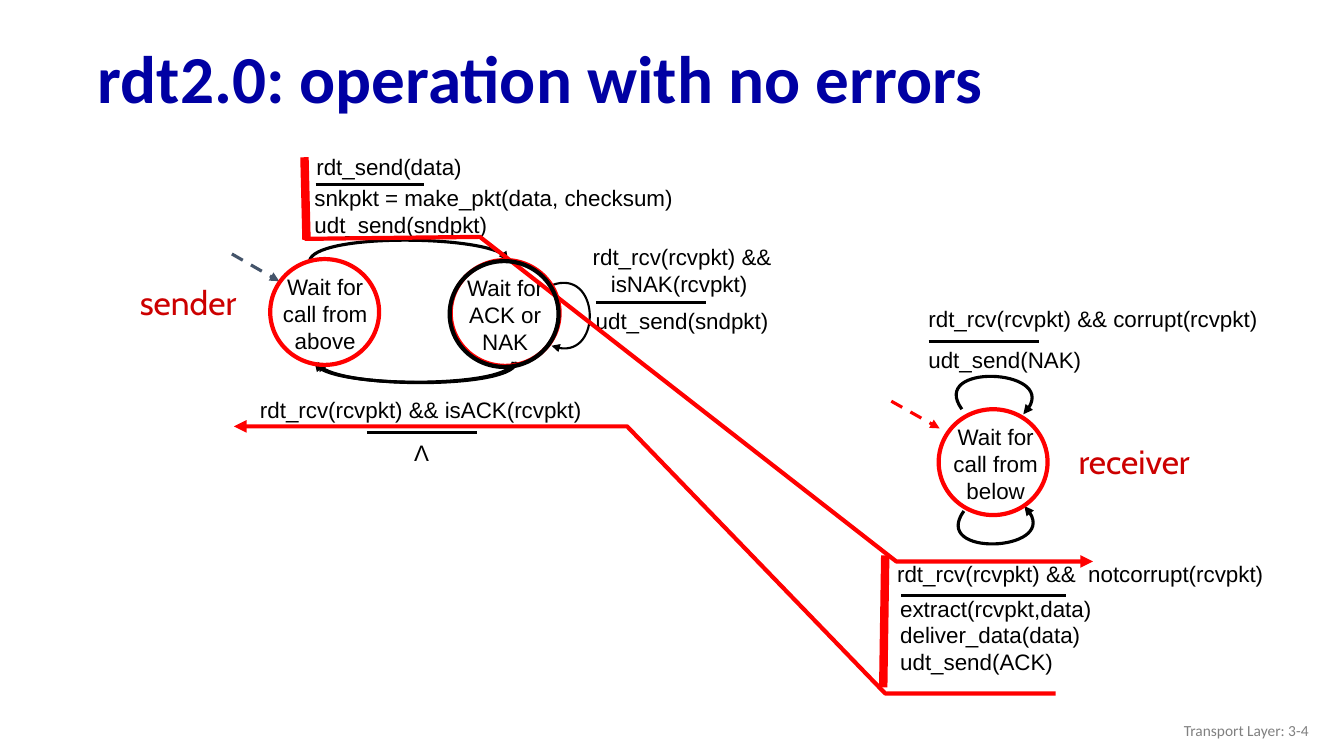
from dataclasses import dataclass

from lxml import etree
from pptx import Presentation
from pptx.dml.color import RGBColor
from pptx.enum.dml import MSO_LINE
from pptx.enum.shapes import MSO_CONNECTOR, MSO_SHAPE
from pptx.enum.text import MSO_ANCHOR, MSO_AUTO_SIZE, PP_ALIGN
from pptx.oxml.ns import qn
from pptx.util import Pt

PX = 9144  # EMU per px, 100 px to the inch
PAGE_WIDTH, PAGE_HEIGHT = 1333, 750
CIRCLE_WIDTH, CIRCLE_HEIGHT = 108, 105

BLACK = RGBColor(0, 0, 0)
WHITE = RGBColor(255, 255, 255)
RED = RGBColor(255, 0, 0)
SLATE = RGBColor(0x44, 0x54, 0x6A)
NAVY = RGBColor(0, 0, 0xA3)
CRIMSON = RGBColor(0xCC, 0, 0)
GRAY = RGBColor(0x80, 0x80, 0x80)

LEFT, CENTER, RIGHT = PP_ALIGN.LEFT, PP_ALIGN.CENTER, PP_ALIGN.RIGHT
TOP, MIDDLE = MSO_ANCHOR.TOP, MSO_ANCHOR.MIDDLE
STRAIGHT = MSO_CONNECTOR.STRAIGHT
ELLIPSE = MSO_SHAPE.OVAL
DASH = MSO_LINE.DASH
NO_AUTOFIT = MSO_AUTO_SIZE.NONE

Point = tuple[int, int]


@dataclass(frozen=True)
class Label:
    x: int
    y: int
    width: int
    height: int
    lines: tuple[str, ...]
    align: PP_ALIGN = LEFT
    size: int = 16
    font: str = "Arial"
    color: RGBColor = BLACK
    wrap: bool = True
    anchor: MSO_ANCHOR = TOP
    last_indent: int = 0


@dataclass(frozen=True)
class State:
    x: int
    y: int
    label: Label


@dataclass(frozen=True)
class Ring:
    x: int
    y: int
    color: RGBColor


@dataclass(frozen=True)
class Line:
    start: Point
    end: Point
    color: RGBColor = BLACK
    weight: float = 2.25
    dashed_arrow: bool = False


@dataclass(frozen=True)
class Route:
    points: tuple[Point, ...]
    curved: bool = True
    color: RGBColor = BLACK
    weight: float = 2.25


STATES = (
    State(268, 257, Label(257, 266, 131, 67, ("Wait for call from above",), CENTER)),
    State(447, 258, Label(442, 267, 118, 67, ("Wait for ACK or NAK",), CENTER)),
    State(931, 406, Label(922, 415, 131, 67, ("Wait for call from below",), CENTER)),
)

TRANSITIONS = (
    Route(((307, 259), (311, 232), (504, 233), (504, 259))),
    Route(((509, 359), (509, 384), (317, 386), (312, 359))),
    Route(((512, 359), (512, 385), (319, 386), (315, 359))),
    Route(((547, 283), (595, 265), (598, 363), (547, 343)), weight=1.5),
    Route(((954, 406), (921, 360), (1059, 366), (1015, 411))),
    Route(((956, 507), (923, 553), (1060, 547), (1016, 502))),
)

LABELS = (
    Label(304, 147, 247, 47, ("rdt_send(data)",)),
    Label(302, 178, 398, 44, ("snkpkt = make_pkt(data, checksum)", "udt_send(sndpkt)")),
    Label(578, 236, 228, 69, ("rdt_rcv(rcvpkt) &&", "isNAK(rcvpkt)"), last_indent=18),
    Label(581, 300, 193, 44, ("udt_send(sndpkt)",)),
    Label(248, 388, 388, 31, ("rdt_rcv(rcvpkt) && isACK(rcvpkt)",)),
    Label(401, 431, 35, 37, ("Λ",), wrap=False),
    Label(911, 298, 371, 34, ("rdt_rcv(rcvpkt) && corrupt(rcvpkt)",)),
    Label(911, 338, 200, 28, ("udt_send(NAK)",)),
    Label(880, 551, 453, 77, ("rdt_rcv(rcvpkt) &&  notcorrupt(rcvpkt)",)),
    Label(883, 585, 234, 68,
          ("extract(rcvpkt,data)", "deliver_data(data)", "udt_send(ACK)")),
    Label(127, 275, 119, 50, ("sender",), CENTER, 24, "Cabin", CRIMSON, False),
    Label(1057, 433, 136, 50, ("receiver",), CENTER, 24, "Cabin", CRIMSON, False),
    Label(1008, 705, 300, 40, ("Transport Layer: 3-4",), RIGHT, 11, "Calibri", GRAY,
          anchor=MIDDLE),
)

LINES = (
    # Rules between event and action
    Line((313, 183), (421, 183)),
    Line((591, 300), (700, 300)),
    Line((364, 429), (473, 429)),
    Line((921, 339), (1030, 339)),
    Line((894, 591), (1057, 591)),
    # Bars beside the active transitions
    Line((302, 156), (304, 238), RED, 6),
    Line((878, 551), (876, 682), RED, 6),
    # Initial state arrows
    Line((230, 252), (277, 279), SLATE, dashed_arrow=True),
    Line((884, 398), (932, 425), RED, dashed_arrow=True),
)

PACKET_ROUTES = (
    Route(((302, 237), (476, 235), (889, 557), (1084, 557)), False, RED, 3),
    Route(((1047, 688), (878, 688), (622, 423), (232, 423)), False, RED, 3),
)

RINGS = (
    Ring(931, 406, RED),
    Ring(268, 257, RED),
    Ring(447, 258, RED),
    Ring(446, 259, BLACK),
)


def add_run(para, text: str, size: int, font: str, color: RGBColor) -> None:
    span = para.add_run()
    span.text = text
    span.font.size = Pt(size)
    span.font.name = font
    span.font.color.rgb = color


def add_label(page, label: Label) -> None:
    box = page.shapes.add_textbox(
        label.x * PX, label.y * PX, label.width * PX, label.height * PX)
    frame = box.text_frame
    frame.word_wrap = label.wrap
    frame.vertical_anchor = label.anchor
    for index, text in enumerate(label.lines):
        para = frame.add_paragraph() if index else frame.paragraphs[0]
        para.alignment = label.align
        add_run(para, text, label.size, label.font, label.color)
    if label.last_indent:
        para._p.get_or_add_pPr().set("marL", str(label.last_indent * PX))


def add_arrowhead(shape) -> None:
    etree.SubElement(shape.line._get_or_add_ln(), qn("a:tailEnd"), type="triangle")


def add_circle(page, x: int, y: int, color: RGBColor, weight: float):
    circle = page.shapes.add_shape(
        ELLIPSE, x * PX, y * PX, CIRCLE_WIDTH * PX, CIRCLE_HEIGHT * PX)
    circle.shadow.inherit = False
    circle.fill.background()
    circle.line.color.rgb = color
    circle.line.width = Pt(weight)
    return circle


def add_state(page, state: State) -> None:
    circle = add_circle(page, state.x, state.y, BLACK, 1.5)
    circle.fill.solid()
    circle.fill.fore_color.rgb = WHITE
    add_label(page, state.label)


def add_line(page, line: Line) -> None:
    ends = [value * PX for value in line.start + line.end]
    connector = page.shapes.add_connector(STRAIGHT, *ends)
    etree.SubElement(connector._element.spPr, qn("a:effectLst"))
    connector.line.color.rgb = line.color
    connector.line.width = Pt(line.weight)
    if line.dashed_arrow:
        connector.line.dash_style = DASH
        add_arrowhead(connector)


def add_route(page, route: Route) -> None:
    builder = page.shapes.build_freeform(*route.points[0], scale=PX)
    builder.add_line_segments(route.points[1:], close=False)
    shape = builder.convert_to_shape()
    shape.shadow.inherit = False
    shape.fill.background()
    shape.line.color.rgb = route.color
    shape.line.width = Pt(route.weight)
    add_arrowhead(shape)
    if route.curved:
        outline = next(shape._element.iter(qn("a:path")))
        curve = etree.SubElement(outline, qn("a:cubicBezTo"))
        for segment in outline.findall(qn("a:lnTo")):
            curve.append(segment[0])
            outline.remove(segment)


def add_title(page, text: str) -> None:
    title = page.shapes.title
    title.left, title.top, title.width, title.height = (
        value * PX for value in (87, 32, 1214, 98))
    title.text_frame.auto_size = NO_AUTOFIT
    title.text_frame.vertical_anchor = MIDDLE
    para = title.text_frame.paragraphs[0]
    para.alignment = LEFT
    para.line_spacing = 0.9
    add_run(para, text, 48, "Calibri", NAVY)
    para.runs[0].font.bold = True


def main() -> None:
    deck = Presentation()
    deck.slide_width, deck.slide_height = PAGE_WIDTH * PX, PAGE_HEIGHT * PX
    page = deck.slides.add_slide(deck.slide_layouts[5])
    add_title(page, "rdt2.0: operation with no errors")

    # Both state machines, then the packet routes over them
    for draw, items in (
        (add_state, STATES),
        (add_route, TRANSITIONS),
        (add_label, LABELS),
        (add_line, LINES),
        (add_route, PACKET_ROUTES),
    ):
        for item in items:
            draw(page, item)
    for ring in RINGS:
        add_circle(page, ring.x, ring.y, ring.color, 3)
    deck.save("out.pptx")


if __name__ == "__main__":
    main()
